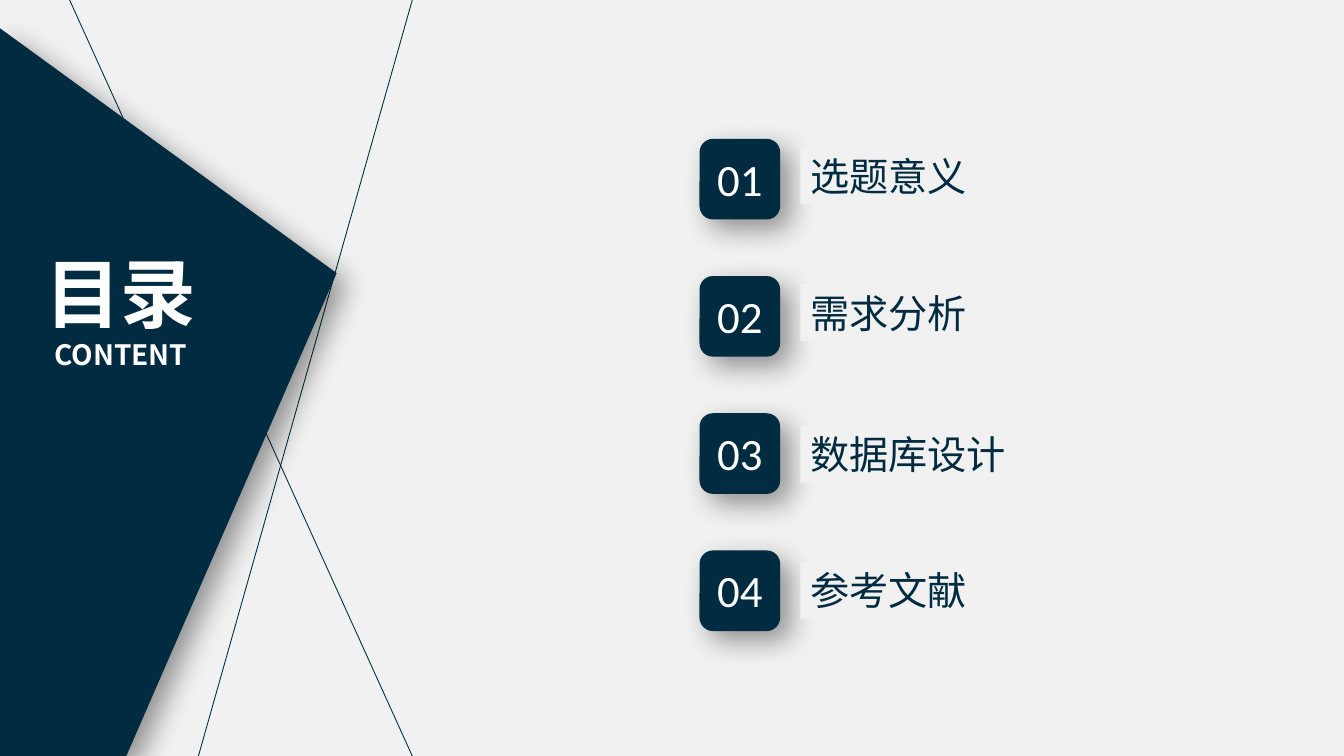
from pptx import Presentation
from pptx.dml.color import RGBColor
from pptx.enum.shapes import MSO_CONNECTOR as Connector, MSO_SHAPE as Shape
from pptx.enum.text import MSO_ANCHOR as Anchor, MSO_AUTO_SIZE as AutoSize, PP_ALIGN as Align
from pptx.oxml import parse_xml
from pptx.oxml.ns import nsdecls, qn
from pptx.util import Pt

# Content
HEADING = [("目录", 54), ("CONTENT", 20)]
CHAPTERS = [  # text, top of its label
    ("选题意义", 105.1),
    ("需求分析", 203),
    ("数据库设计", 303.8),
    ("参考文献", 401),
]
LINES = [((294.5, 0), (139.7, 547.2)), ((294.5, 540), (43.2, -14.4))]
PANEL = [(90, 540.7), (0, 540.7), (0, 20.2), (240.5, 195.1)]

# Look
NAVY, WHITE, PAPER = "002B41", "FFFFFF", "F1F1F1"
LATIN, CHINESE = "Calibri", "Noto Sans CJK SC"

# Layout of the chapter rows
TILE_LEFT, TILE_TOP, TILE_SIZE, ROW_PITCH = 499.7, 99.2, 57.6, 98
NUMBER_INSET, NUMBER_WIDTH, NUMBER_HEIGHT = 5.5, 47.5, 46
LABEL_LEFT, LABEL_WIDTH, LABEL_HEIGHT = 571.7, 228.2, 41


def color(value):
    return RGBColor.from_string(value)


def points(*lengths):
    return [Pt(length) for length in lengths]


def paint(shape, fill):
    shape.fill.solid()
    shape.fill.fore_color.rgb = color(fill)
    shape.line.fill.background()
    shape.shadow.inherit = False


def cast_shadow(shape):
    effects = shape._element.spPr.find(qn("a:effectLst"))
    effects.append(parse_xml(
        f'<a:outerShdw {nsdecls("a")} blurRad="{Pt(20)}" dist="{Pt(10)}" '
        'dir="2700000" algn="tl" rotWithShape="0">'
        '<a:srgbClr val="000000"><a:alpha val="40000"/></a:srgbClr></a:outerShdw>'))


def write(shape, lines, font_name, ink, align=Align.LEFT, bold=False, wrap=True):
    frame = shape.text_frame
    frame.word_wrap = wrap
    frame.auto_size = AutoSize.NONE
    frame.vertical_anchor = Anchor.TOP
    frame.margin_left = frame.margin_right = Pt(7.2)
    frame.margin_top = frame.margin_bottom = Pt(3.6)
    frame.text = "\n".join(text for text, size in lines)
    for para, (text, size) in zip(frame.paragraphs, lines):
        para.alignment = align
        font = para.font
        font.name, font.size, font.bold = font_name, Pt(size), bold
        font.color.rgb = color(ink)
        font._element.find(qn("a:latin")).addnext(
            parse_xml(f'<a:ea {nsdecls("a")} typeface="{font_name}"/>'))


deck = Presentation()
deck.slide_width, deck.slide_height = points(960, 540)
page = deck.slides.add_slide(deck.slide_layouts[5])
page.background.fill.solid()
page.background.fill.fore_color.rgb = color(PAPER)
shapes = page.shapes

# Crossing lines
for start, end in LINES:
    line = shapes.add_connector(Connector.STRAIGHT, *points(*start, *end))
    line.line.color.rgb = color(NAVY)
    line.line.width = Pt(0.63)
    line._element.spPr.append(parse_xml(f'<a:effectLst {nsdecls("a")}/>'))

# Side panel
corners = [points(*corner) for corner in PANEL]
builder = shapes.build_freeform(*corners[0])
builder.add_line_segments(corners[1:], close=True)
panel = builder.convert_to_shape()
paint(panel, NAVY)
cast_shadow(panel)

# Heading, brought in front of the panel
title = shapes.title
title.left, title.top, title.width, title.height = points(17.3, 172.8, 138.2, 97.2)
write(title, HEADING, CHINESE, WHITE, Align.CENTER, bold=True)
panel._element.addnext(title._element)

# Chapter rows
for index, (chapter, label_top) in enumerate(CHAPTERS):
    top = TILE_TOP + index * ROW_PITCH
    tile = shapes.add_shape(Shape.ROUNDED_RECTANGLE,
                            *points(TILE_LEFT, top, TILE_SIZE, TILE_SIZE))
    paint(tile, NAVY)
    cast_shadow(tile)

    number = shapes.add_textbox(*points(TILE_LEFT + NUMBER_INSET, top + NUMBER_INSET,
                                        NUMBER_WIDTH, NUMBER_HEIGHT))
    write(number, [(f"{index + 1:02}", 32)], LATIN, WHITE, wrap=False)

    label = shapes.add_shape(Shape.RECTANGLE,
                             *points(LABEL_LEFT, label_top, LABEL_WIDTH, LABEL_HEIGHT))
    paint(label, PAPER)
    write(label, [(chapter, 28)], CHINESE, NAVY)

deck.save("out.pptx")
